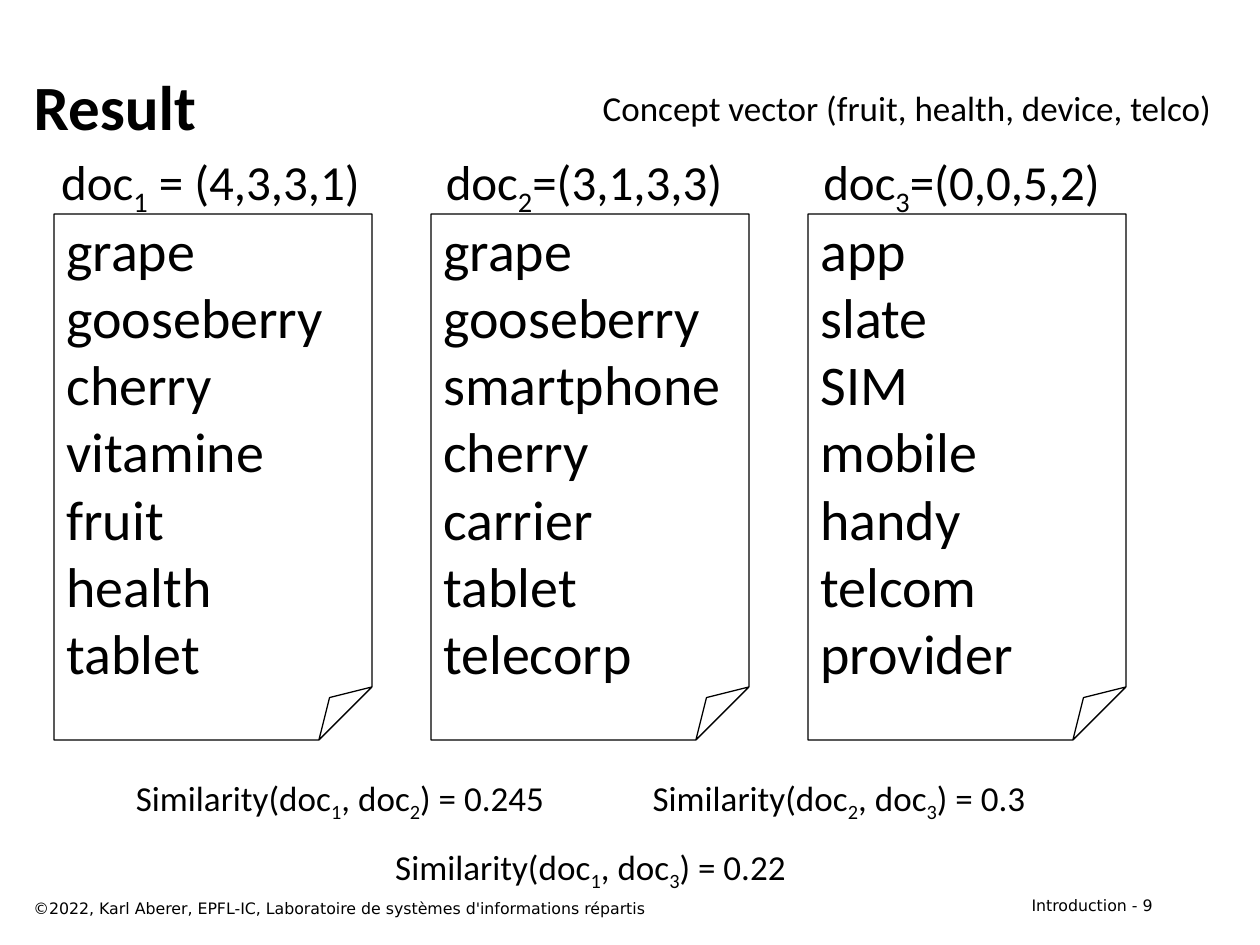
from pptx import Presentation, util as u
from pptx.dml.color import RGBColor
from pptx.enum import shapes, text

PX = 914400 / 126
BLACK = RGBColor(0, 0, 0)
BODY_FONT, FOOTER_FONT = "Calibri", "DejaVu Sans"
SUBSCRIPT = "-25000"

PAGE_BOX = (54, 214, 318, 526)
PAGE_STEP = 377
# heading, heading left, heading width (relative to the page), words
DOCUMENTS = [
    ("doc_1 = (4,3,3,1) ", -13, 350,
     ["grape", "gooseberry", "cherry", "vitamine", "fruit", "health", "tablet"]),
    ("doc_2=(3,1,3,3)", -5, 316,
     ["grape", "gooseberry", "smartphone", "cherry", "carrier", "tablet", "telecorp"]),
    ("doc_3=(0,0,5,2)", 0, 307,
     ["app", "slate", "SIM", "mobile", "handy", "telcom", "provider"]),
]
SIMILARITIES = [
    ("Similarity(doc_1, doc_2) = 0.245", (114, 770, 452, 55)),
    ("Similarity(doc_2, doc_3) = 0.3", (631, 770, 416, 55)),
    ("Similarity(doc_1, doc_3) = 0.22", (374, 839, 433, 55)),
]


def emu(*lengths):
    return [u.Emu(round(length * PX)) for length in lengths]


def set_format(target, **values):
    for name, value in values.items():
        setattr(target, name, value)


def add_run(paragraph, words, size, font=BODY_FONT, bold=False):
    run = paragraph.add_run()
    run.text = words
    set_format(run.font, name=font, size=u.Pt(size), bold=bold)
    run.font.color.rgb = BLACK
    return run


def add_subscripted(paragraph, words, size):
    """Add runs in which the character after each underscore is lowered."""
    base, *tails = words.split("_")
    add_run(paragraph, base, size)
    for tail in tails:
        index = add_run(paragraph, tail[0], size)
        index.font._element.set("baseline", SUBSCRIPT)
        add_run(paragraph, tail[1:], size)


def add_title(slide, box):
    title = slide.shapes.title
    set_format(title, **dict(zip(("left", "top", "width", "height"), emu(*box))))
    title.text_frame.vertical_anchor = text.MSO_ANCHOR.MIDDLE
    paragraph = title.text_frame.paragraphs[0]
    paragraph.alignment = text.PP_ALIGN.LEFT
    add_run(paragraph, "Result", 36, bold=True)


def add_label(slide, box, words, size):
    """Add one unwrapped, centred line that may hold subscripts."""
    frame = slide.shapes.add_textbox(*emu(*box)).text_frame
    set_format(frame, word_wrap=False, auto_size=text.MSO_AUTO_SIZE.SHAPE_TO_FIT_TEXT)
    paragraph = frame.paragraphs[0]
    paragraph.alignment = text.PP_ALIGN.CENTER
    add_subscripted(paragraph, words, size)


def add_document(slide, box, heading, heading_left, heading_width, words):
    left, top, _, _ = box
    add_label(slide, (left + heading_left, top - 69, heading_width, 72), heading, 28)
    page = slide.shapes.add_shape(shapes.MSO_SHAPE.FOLDED_CORNER, *emu(*box))
    page.shadow.inherit = False
    page.fill.background()
    page.line.color.rgb = BLACK
    page.line.width = u.Pt(0.75)
    set_format(page.text_frame, word_wrap=True, vertical_anchor=text.MSO_ANCHOR.MIDDLE)
    paragraph = page.text_frame.paragraphs[0]
    paragraph.alignment = text.PP_ALIGN.LEFT
    for number, word in enumerate(words):
        if number:
            paragraph.add_line_break()
        add_run(paragraph, word, 32)


def add_footer(slide, box, words, alignment):
    frame = slide.shapes.add_textbox(*emu(*box)).text_frame
    frame.word_wrap = True
    paragraph = frame.paragraphs[0]
    paragraph.alignment = alignment
    add_run(paragraph, words, 9, FOOTER_FONT)


def main():
    deck = Presentation()
    set_format(deck, slide_width=u.Inches(10), slide_height=u.Inches(7.5))
    slide = deck.slides.add_slide(deck.slide_layouts[5])

    add_title(slide, (21, 42, 1144, 126))
    add_label(slide, (587, 80, 648, 55), "Concept vector (fruit, health, device, telco) ", 20)

    left, top, width, height = PAGE_BOX
    for column, document in enumerate(DOCUMENTS):
        add_document(slide, (left + column * PAGE_STEP, top, width, height), *document)
    for words, box in SIMILARITIES:
        add_label(slide, box, words, 20)

    add_footer(slide, (21, 893, 809, 32),
               "©2022, Karl Aberer, EPFL-IC, Laboratoire de systèmes d'informations répartis",
               text.PP_ALIGN.LEFT)
    add_footer(slide, (903, 890, 262, 32), "Introduction - 9", text.PP_ALIGN.RIGHT)
    deck.save("out.pptx")


if __name__ == "__main__":
    main()
